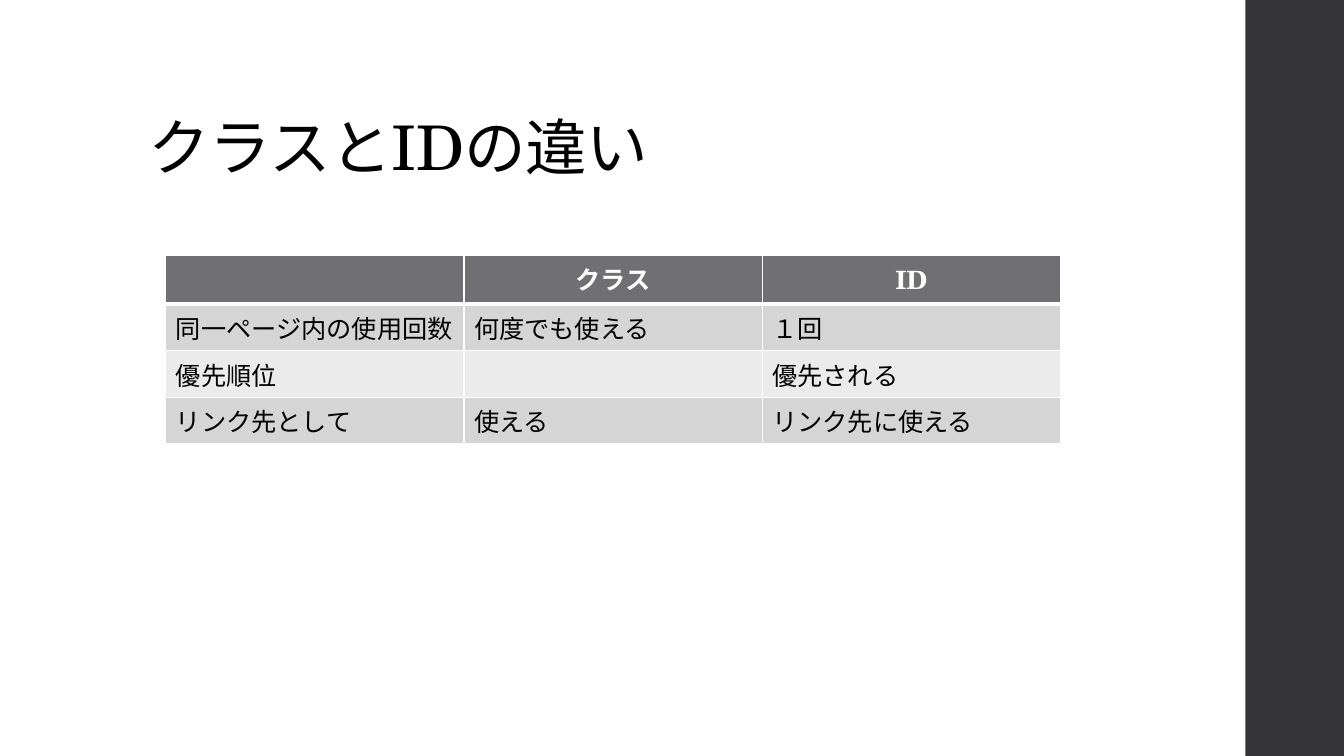
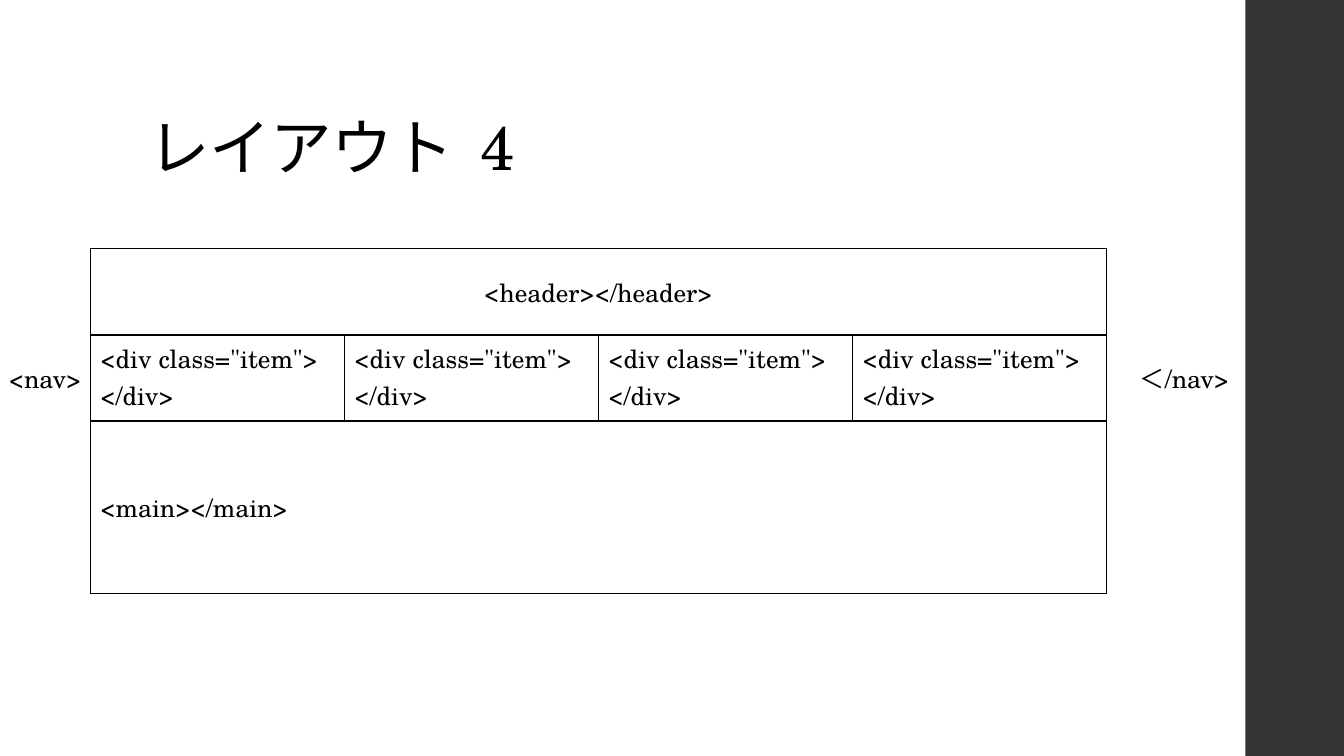
from lxml import etree
from pptx import Presentation
from pptx.dml.color import RGBColor
from pptx.enum.shapes import MSO_SHAPE
from pptx.enum.text import MSO_ANCHOR, MSO_AUTO_SIZE, PP_ALIGN
from pptx.oxml.ns import qn
from pptx.util import Emu, Pt

RECTANGLE = MSO_SHAPE.RECTANGLE
TOP, MIDDLE, BOTTOM = MSO_ANCHOR.TOP, MSO_ANCHOR.MIDDLE, MSO_ANCHOR.BOTTOM
LEFT, CENTER = PP_ALIGN.LEFT, PP_ALIGN.CENTER
NO_AUTOFIT = MSO_AUTO_SIZE.NONE
FIT_SHAPE = MSO_AUTO_SIZE.SHAPE_TO_FIT_TEXT

EMU_PER_PX = 9525
TITLE_ONLY = 5
FONT = "TeX Gyre Schola"
COLORS = {
    "text": "000000",
    "white": "FFFFFF",
    "band": "353537",
    "header": "6F6F74",
    "odd_row": "D5D5D6",
    "even_row": "EBEBEB",
}


def px(value):
    return Emu(value * EMU_PER_PX)


def color(name):
    return RGBColor.from_string(COLORS[name])


class Deck:
    """Holds the shared style and the slide being built."""

    def __init__(self):
        self.presentation = Presentation()
        self.presentation.slide_width = px(1280)
        self.presentation.slide_height = px(720)
        self.slide = None

    def new_slide(self, title):
        layout = self.presentation.slide_layouts[TITLE_ONLY]
        self.slide = self.presentation.slides.add_slide(layout)
        self.side_band()
        self.title(title)

    def side_band(self):
        band = self.slide.shapes.add_shape(RECTANGLE, px(1186), 0, px(94), px(720))
        band.shadow.inherit = False
        band.fill.solid()
        band.fill.fore_color.rgb = color("band")
        band.line.fill.background()

    def title(self, text):
        shape = self.slide.shapes.title
        shape.left, shape.top, shape.width, shape.height = map(px, (132, 38, 1018, 142))
        frame = shape.text_frame
        frame.auto_size = NO_AUTOFIT
        frame.vertical_anchor = BOTTOM
        self.set_text(frame, text, size=44)
        paragraph = frame.paragraphs[0]
        paragraph.line_spacing = 0.9
        # Slightly tightened letter spacing
        paragraph.runs[0].font._element.set("spc", "-50")

    def set_text(self, frame, text, size=18, ink="text", bold=False, align=LEFT):
        frame.text = text
        for paragraph in frame.paragraphs:
            paragraph.alignment = align
            font = paragraph.font
            font.name, font.size, font.bold = FONT, Pt(size), bold
            font.color.rgb = color(ink)

    def label(self, left, top, width, height, text):
        box = self.slide.shapes.add_textbox(*map(px, (left, top, width, height)))
        box.text_frame.word_wrap = True
        box.text_frame.auto_size = FIT_SHAPE
        self.set_text(box.text_frame, text)

    def table(self, left, top, column_width, row_heights, columns):
        frame = self.slide.shapes.add_table(
            len(row_heights), columns, px(left), px(top),
            px(column_width * columns), px(sum(row_heights)))
        table = frame.table
        table.first_row = table.horz_banding = False
        for row, height in zip(table.rows, row_heights):
            row.height = px(height)
        return table

    def cell(self, cell, text, border, fill=None, top=1, bottom=1, anchor=TOP, **style):
        self.borders(cell, border, top, bottom)
        if fill:
            cell.fill.solid()
            cell.fill.fore_color.rgb = color(fill)
        else:
            cell.fill.background()
        cell.vertical_anchor = anchor
        if text:
            self.set_text(cell.text_frame, text, **style)

    def borders(self, cell, ink, top, bottom):
        properties = cell._tc.get_or_add_tcPr()
        for side, width in (("L", 1), ("R", 1), ("T", top), ("B", bottom)):
            line = etree.SubElement(properties, qn("a:ln" + side), w=str(Pt(width)))
            fill = etree.SubElement(line, qn("a:solidFill"))
            etree.SubElement(fill, qn("a:srgbClr"), val=COLORS[ink])


def comparison_slide(deck):
    deck.new_slide("クラスとIDの違い")
    rows = [
        ("", "クラス", "ID"),
        ("同一ページ内の使用回数", "何度でも使える", "１回"),
        ("優先順位", "", "優先される"),
        ("リンク先として", "使える", "リンク先に使える"),
    ]
    table = deck.table(158, 243, 284, [39] * len(rows), 3)
    for row_index, row in enumerate(rows):
        if row_index == 0:
            style = dict(fill="header", bottom=3, ink="white", bold=True, align=CENTER)
        else:
            style = dict(fill="odd_row" if row_index % 2 else "even_row",
                         top=3 if row_index == 1 else 1)
        for column_index, text in enumerate(row):
            deck.cell(table.cell(row_index, column_index), text, "white", **style)


def layout_slide(deck):
    deck.new_slide("レイアウト  4")
    columns = 4
    table = deck.table(86, 237, 242, [82, 82, 164], columns)

    # Header and main span every column; the items fill the row between
    rows = [
        (["<header></header>"] + [""] * (columns - 1), dict(anchor=MIDDLE, align=CENTER)),
        (['<div class="item">\n</div>'] * columns, {}),
        (["<main></main>"] + [""] * (columns - 1), dict(anchor=MIDDLE)),
    ]
    for row_index, (texts, style) in enumerate(rows):
        for column_index, text in enumerate(texts):
            deck.cell(table.cell(row_index, column_index), text, "text", **style)
    for row_index in (0, 2):
        table.cell(row_index, 0).merge(table.cell(row_index, columns - 1))

    # Tags around the item row
    deck.label(-1, 341, 641, 38, "<nav>")
    deck.label(1076, 341, 118, 38, "＜/nav>")


def main():
    deck = Deck()
    comparison_slide(deck)
    layout_slide(deck)
    deck.presentation.save("out.pptx")


if __name__ == "__main__":
    main()
